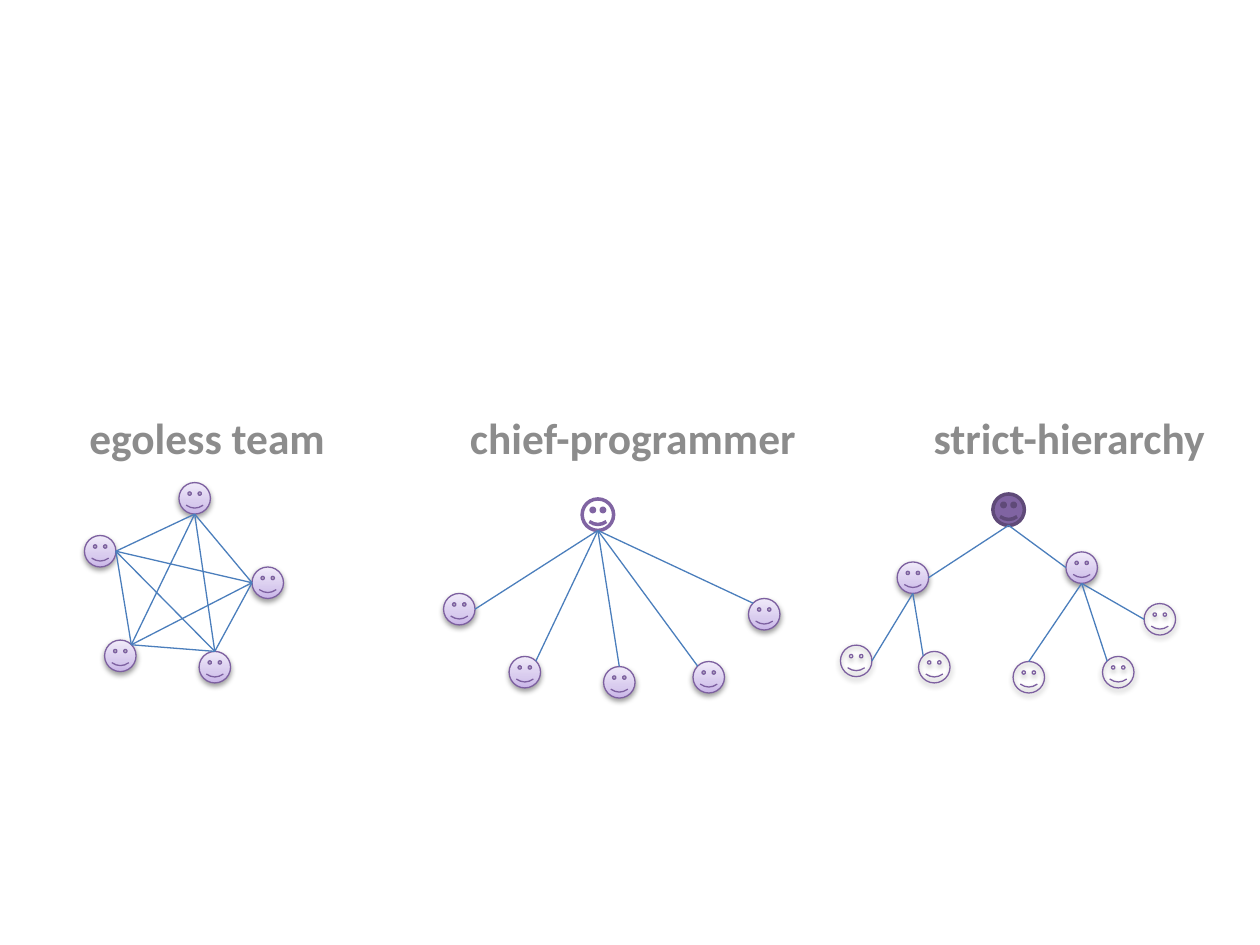
from copy import deepcopy
from itertools import combinations

from lxml import etree
from pptx import Presentation
from pptx.dml.color import RGBColor
from pptx.enum.shapes import MSO_CONNECTOR, MSO_SHAPE
from pptx.enum.text import MSO_ANCHOR
from pptx.oxml import parse_xml
from pptx.oxml.ns import nsdecls, qn
from pptx.util import Inches, Pt

SMILEY = MSO_SHAPE.SMILEY_FACE
STRAIGHT = MSO_CONNECTOR.STRAIGHT
TOP_ANCHOR = MSO_ANCHOR.TOP

GREY = RGBColor(0x8C, 0x8C, 0x8C)
BLUE = RGBColor(0x4B, 0x7E, 0xBC)
WHITE = RGBColor(0xFF, 0xFF, 0xFF)
PURPLE = RGBColor(0x80, 0x64, 0xA2)
DARK_PURPLE = RGBColor(0x5F, 0x4A, 0x78)
OUTLINE = RGBColor(0x7D, 0x60, 0xA0)
LILAC_STOPS = [
    (0, RGBColor(0xC9, 0xB5, 0xE8)),
    (0.35, RGBColor(0xD8, 0xCB, 0xEE)),
    (1, RGBColor(0xF0, 0xEA, 0xF9)),
]

FACE_SIZE = 0.25
# Points on the rim of a face, as fractions of its size
RIM = {
    "top": (0.5, 0),
    "bottom": (0.5, 1),
    "left": (0, 0.5),
    "right": (1, 0.5),
    "top left": (0.15, 0.15),
    "top right": (0.85, 0.15),
}

# Each face: left, top, side where its links attach
EGOLESS_TEAM = [
    (0.67, 4.25, "right"),
    (1.42, 3.83, "bottom"),
    (0.83, 5.08, "top right"),
    (2, 4.5, "left"),
    (1.58, 5.17, "top"),
]
CHIEF = (4.62, 3.96)
PROGRAMMERS = [
    (3.52, 4.71, "right"),
    (4.04, 5.21, "top right"),
    (4.79, 5.29, "top"),
    (5.5, 5.25, "top left"),
    (5.94, 4.75, "top left"),
]
DIRECTOR = (7.88, 3.92)
MANAGERS = [(7.12, 4.46, "right"), (8.46, 4.38, "left")]
WORKERS = [
    [(6.67, 5.12, "right"), (7.29, 5.17, "top left")],
    [(8.04, 5.25, "top"), (8.75, 5.21, "top left"), (9.08, 4.79, "left")],
]


class TeamPage:
    """Holds the style and the slide that is being drawn."""

    font = "Calibri"
    heading_size = Pt(24.8)
    thin = Pt(0.75)
    thick = Pt(2)

    def __init__(self, page):
        self.page = page

    def headings(self, names, stops, left, top, width, height):
        """Write the names on one line, each at its tab stop."""
        box = self.page.shapes.add_textbox(
            Inches(left), Inches(top), Inches(width), Inches(height))
        frame = box.text_frame
        frame.word_wrap = True
        frame.vertical_anchor = TOP_ANCHOR
        frame.margin_left, frame.margin_top = Inches(0.15), Inches(0.06)
        frame.margin_right = frame.margin_bottom = 0
        frame.text = "\t".join(names)
        para = frame.paragraphs[0]
        tabs = etree.SubElement(para._p.get_or_add_pPr(), qn("a:tabLst"))
        for stop in stops:
            etree.SubElement(tabs, qn("a:tab"), pos=str(Inches(stop)), algn="l")
        for span in para.runs:
            span.font.name = self.font
            span.font.size = self.heading_size
            span.font.bold = True
            span.font.color.rgb = GREY

    def face(self, left, top, line_color=OUTLINE, line_width=thin):
        size = Inches(FACE_SIZE)
        face = self.page.shapes.add_shape(
            SMILEY, Inches(left), Inches(top), size, size)
        face.shadow.inherit = False
        face.line.color.rgb = line_color
        face.line.width = line_width
        return face

    def leader(self, left, top, fill_color, line_color):
        face = self.face(left, top, line_color, self.thick)
        face.fill.solid()
        face.fill.fore_color.rgb = fill_color

    def member(self, left, top):
        face = self.face(left, top)
        face.fill.gradient()
        face.fill.gradient_angle = 90
        stop_list = face._element.spPr.find(".//" + qn("a:gsLst"))
        stop_list.append(deepcopy(stop_list[-1]))
        for stop, (position, color) in zip(face.fill.gradient_stops, LILAC_STOPS):
            stop.position = position
            stop.color.rgb = color
        self.shadow(face)

    def worker(self, left, top):
        face = self.face(left, top)
        face.fill.background()
        self.shadow(face)

    def shadow(self, face):
        effects = face._element.spPr.find(qn("a:effectLst"))
        effects.append(parse_xml(
            f'<a:outerShdw {nsdecls("a")} blurRad="{Pt(3.1)}" dist="{Pt(1.6)}" '
            'dir="5400000" rotWithShape="0"><a:srgbClr val="000000">'
            '<a:alpha val="38000"/></a:srgbClr></a:outerShdw>'))

    def link(self, start, end):
        """Join two faces, each given as left, top and side."""
        ends = []
        for left, top, side in (start, end):
            across, down = RIM[side]
            ends += [Inches(left + across * FACE_SIZE),
                     Inches(top + down * FACE_SIZE)]
        line = self.page.shapes.add_connector(STRAIGHT, *ends)
        line.line.color.rgb = BLUE
        line.line.width = self.thin
        etree.SubElement(line._element.spPr, qn("a:effectLst"))

    def reports(self, boss, people, draw):
        """Draw the people below a boss and link each to the boss."""
        for left, top, side in people:
            draw(left, top)
            self.link((*boss, "bottom"), (left, top, side))


def main():
    deck = Presentation()
    deck.slide_width, deck.slide_height = Inches(10), Inches(7.5)
    team = TeamPage(deck.slides.add_slide(deck.slide_layouts[6]))

    team.headings(["egoless team", "chief-programmer", "strict-hierarchy"],
                  [3.02, 6.7], 0.56, 3.2, 9.17, 0.47)

    for left, top, _ in EGOLESS_TEAM:
        team.member(left, top)
    for start, end in combinations(EGOLESS_TEAM, 2):
        team.link(start, end)

    team.leader(*CHIEF, WHITE, PURPLE)
    team.reports(CHIEF, PROGRAMMERS, team.member)

    team.leader(*DIRECTOR, PURPLE, DARK_PURPLE)
    team.reports(DIRECTOR, MANAGERS, team.member)
    for (left, top, _), workers in zip(MANAGERS, WORKERS):
        team.reports((left, top), workers, team.worker)

    deck.save("out.pptx")


if __name__ == "__main__":
    main()
